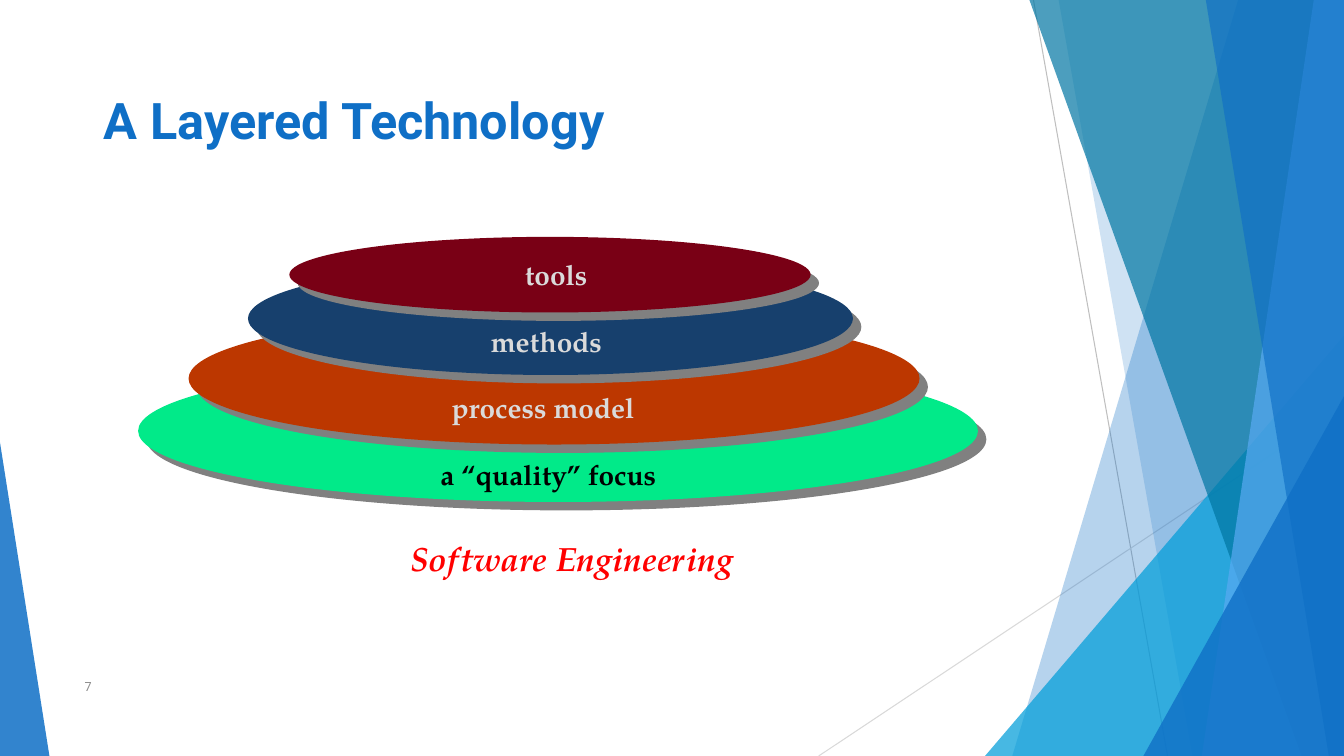
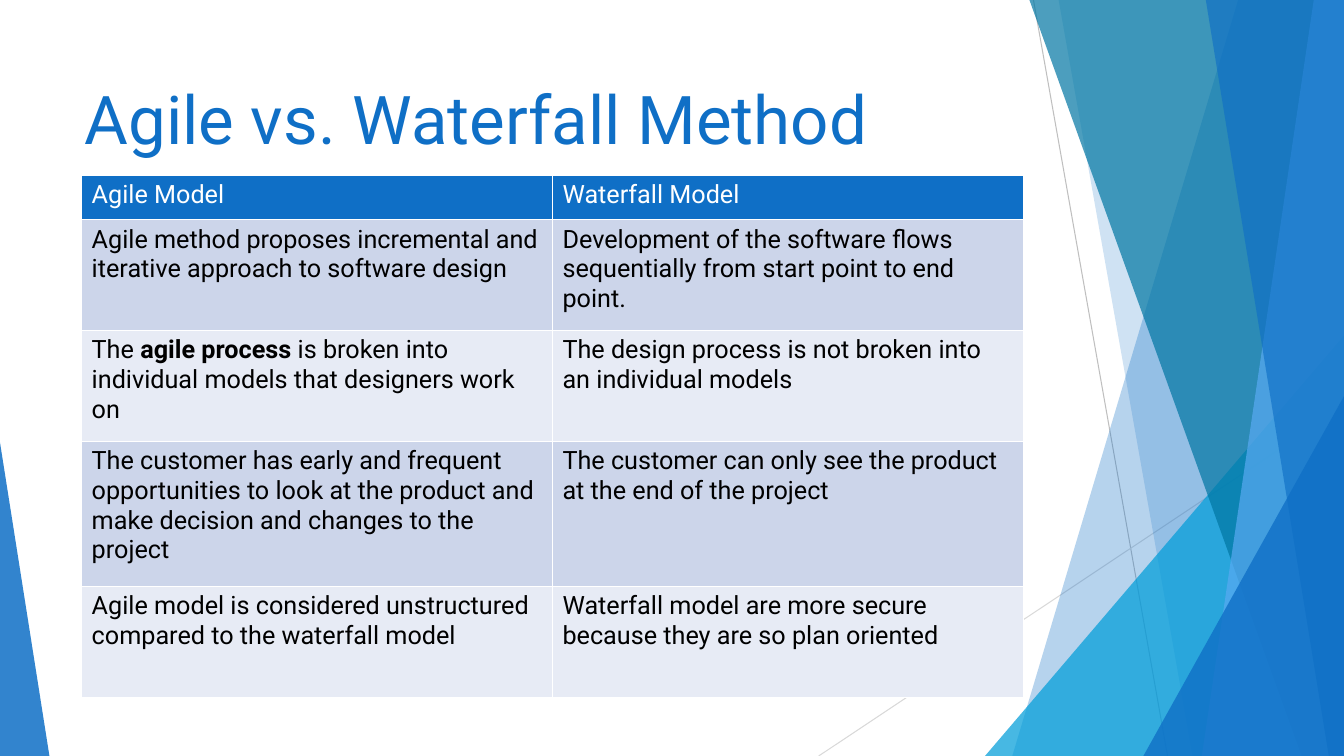
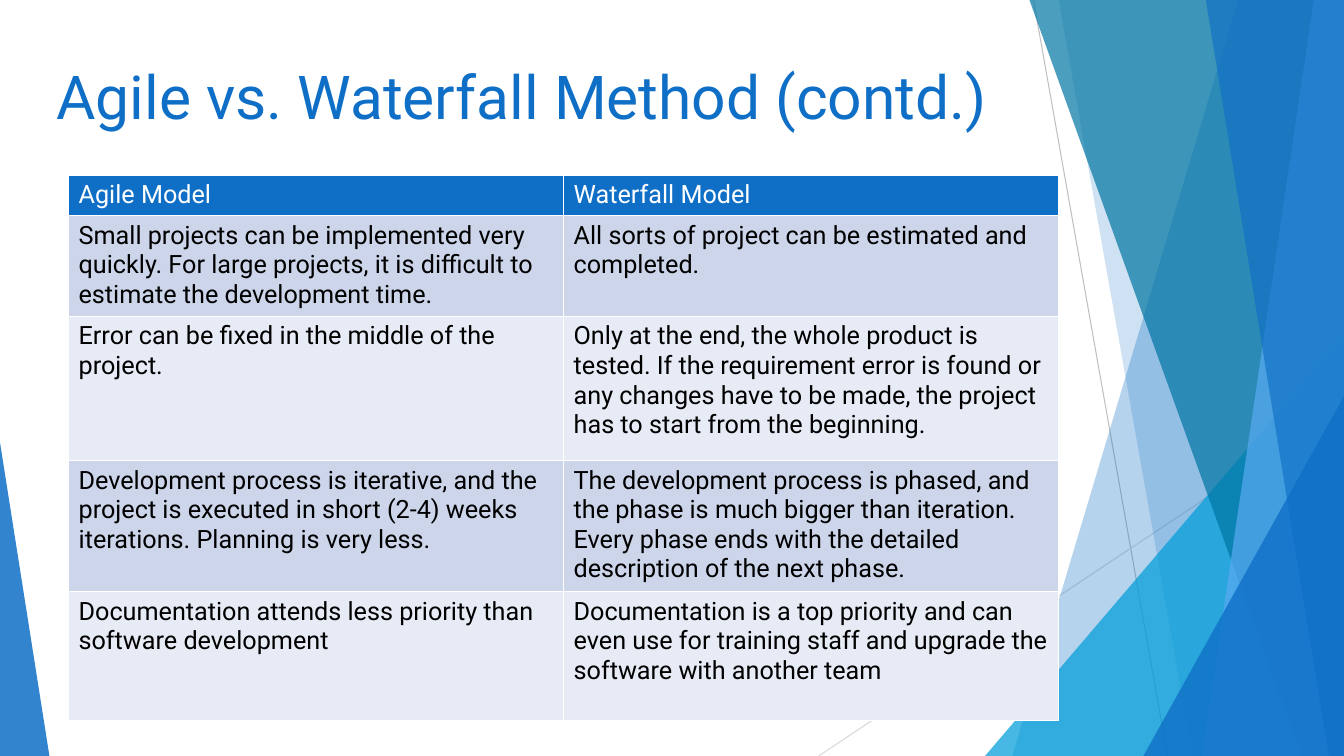
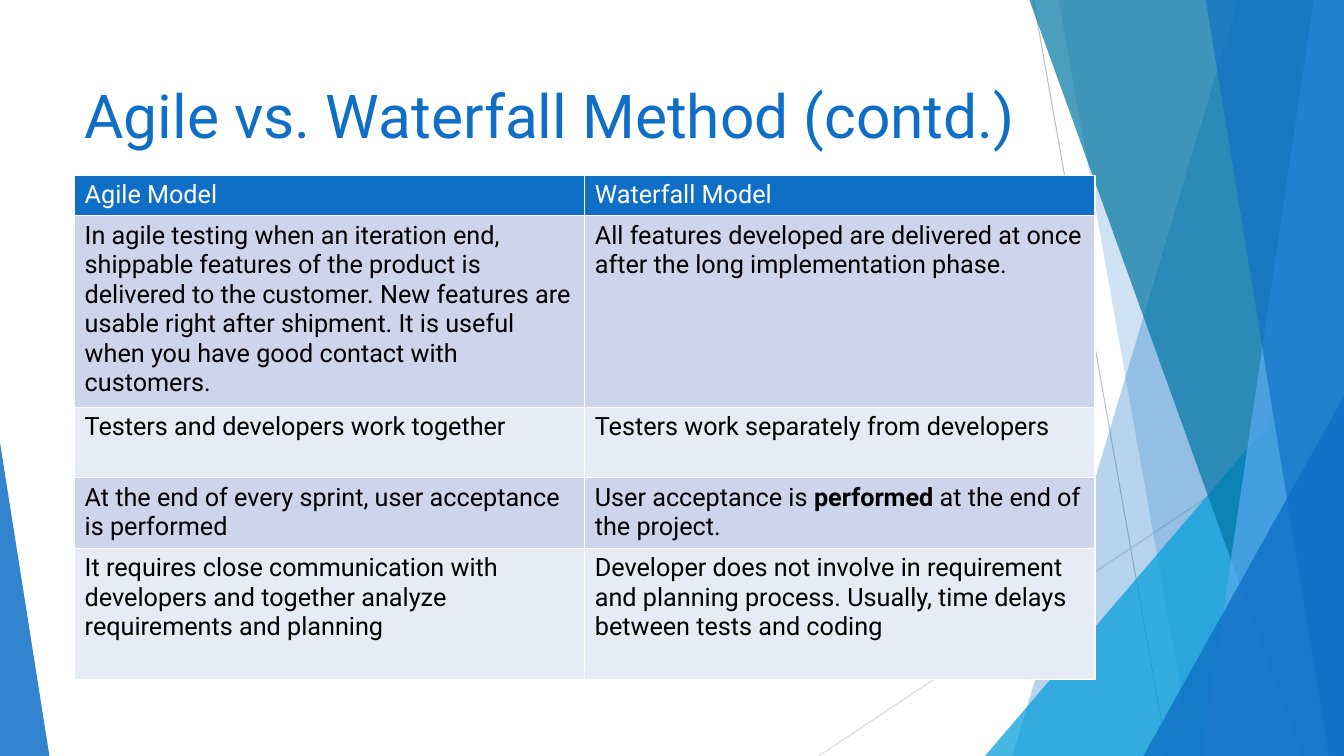
from lxml import etree
from pptx import Presentation
from pptx.dml.color import RGBColor
from pptx.enum.shapes import MSO_CONNECTOR, MSO_SHAPE
from pptx.enum.text import MSO_ANCHOR
from pptx.oxml.ns import qn
from pptx.util import Inches, Pt

STRAIGHT = MSO_CONNECTOR.STRAIGHT
TRIANGLE = MSO_SHAPE.ISOSCELES_TRIANGLE
OVAL = MSO_SHAPE.OVAL
TOP, MIDDLE = MSO_ANCHOR.TOP, MSO_ANCHOR.MIDDLE

BLUE = RGBColor(0x0F, 0x6F, 0xC6)
CYAN = RGBColor(0x00, 0x9D, 0xD9)
TEAL = RGBColor(0x00, 0x76, 0xA3)
SKY = RGBColor(0x59, 0xAA, 0xF2)
NAVY = RGBColor(0x17, 0x40, 0x6D)
MAROON = RGBColor(0x79, 0x00, 0x15)
RUST = RGBColor(0xBC, 0x37, 0x00)
GREEN = RGBColor(0x01, 0xEA, 0x89)
RED = RGBColor(0xFF, 0x00, 0x00)
BLACK = RGBColor(0x00, 0x00, 0x00)
WHITE = RGBColor(0xFF, 0xFF, 0xFF)
GREY = RGBColor(0x8C, 0x8C, 0x8C)
SHADOW_GREY = RGBColor(0x80, 0x80, 0x80)
LIGHT_GREY = RGBColor(0xDA, 0xDA, 0xDA)
LINE_DARK = RGBColor(0xBF, 0xBF, 0xBF)
LINE_LIGHT = RGBColor(0xD9, 0xD9, 0xD9)
ROW_ODD = RGBColor(0xCC, 0xD5, 0xEA)
ROW_EVEN = RGBColor(0xE7, 0xEB, 0xF5)

SANS, SERIF = "Roboto", "TeX Gyre Pagella"
WIDTH, HEIGHT = 13.33, 7.5
TABLE_TOP = 1.74
HEADER = ("Agile Model", "Waterfall Model")

COMPARISONS = [
    {
        "title": ("Agile vs. Waterfall Method", 0.74, 0.67, 9.4, 1.44, 48),
        "left": 0.81, "col": 4.67, "rows": (0.44, 1.1, 1.1, 1.44, 1.1),
        "cells": [
            ("Agile method proposes incremental and iterative approach to software design",
             "Development of the software flows sequentially from start point to end point."),
            ("The **agile process** is broken into individual models that designers work on",
             "The design process is not broken into an individual models"),
            ("The customer has early and frequent opportunities to look at the product "
             "and make decision and changes to the project",
             "The customer can only see the product at the end of the project"),
            ("Agile model is considered unstructured compared to the waterfall model",
             "Waterfall model are more secure because they are so plan oriented"),
        ],
    },
    {
        "title": ("Agile vs. Waterfall Method (contd.)", 0.46, 0.49, 10.26, 1.25, 43.2),
        "left": 0.68, "col": 4.91, "rows": (0.39, 0.99, 1.43, 1.27, 1.28),
        "cells": [
            ("Small projects can be implemented very quickly. For large projects, "
             "it is difficult to estimate the development time.",
             "All sorts of project can be estimated and completed."),
            ("Error can be fixed in the middle of the project.",
             "Only at the end, the whole product is tested. If the requirement error is found "
             "or any changes have to be made, the project has to start from the beginning."),
            ("Development process is iterative, and the project is executed in short (2-4) "
             "weeks iterations. Planning is very less.",
             "The development process is phased, and the phase is much bigger than iteration. "
             "Every phase ends with the detailed description of the next phase."),
            ("Documentation attends less priority than software development",
             "Documentation is a top priority and can even use for training staff and "
             "upgrade the software with another team"),
        ],
    },
    {
        "title": ("Agile vs. Waterfall Method (contd.)", 0.74, 0.67, 10.11, 1.44, 43.2),
        "left": 0.74, "col": 5.06, "rows": (0.38, 1.9, 0.7, 0.7, 1.3),
        "cells": [
            ("In agile testing when an iteration end, shippable features of the product is "
             "delivered to the customer. New features are usable right after shipment. "
             "It is useful when you have good contact with customers.",
             "All features developed are delivered at once after the long implementation phase."),
            ("Testers and developers work together",
             "Testers work separately from developers"),
            ("At the end of every sprint, user acceptance is performed",
             "User acceptance is **performed** at the end of the project."),
            ("It requires close communication with developers and together analyze "
             "requirements and planning",
             "Developer does not involve in requirement and planning process. "
             "Usually, time delays between tests and coding"),
        ],
    },
]


def add_run(p, text, size, color, font=SANS, bold=False, italic=False):
    r = p.add_run()
    r.text = text
    r.font.name = font
    r.font.size = Pt(size)
    r.font.color.rgb = color
    r.font.bold = bold
    r.font.italic = italic


def add_text(slide, text, x, y, w, h, size, color, inset=(0.1, 0.05),
             anchor=TOP, wrap=True, spacing=None, **style):
    tf = slide.shapes.add_textbox(Inches(x), Inches(y), Inches(w), Inches(h)).text_frame
    tf.word_wrap = wrap
    tf.vertical_anchor = anchor
    tf.margin_left = tf.margin_right = Inches(inset[0])
    tf.margin_top = tf.margin_bottom = Inches(inset[1])
    p = tf.paragraphs[0]
    p.line_spacing = spacing
    add_run(p, text, size, color, **style)


def add_title(slide, text, x, y, w, h, size, inset=(0.1, 0.1), bold=False):
    add_text(slide, text, x, y, w, h, size, BLUE, inset=inset, bold=bold)


def paint(sp, color, opacity=100):
    sp.shadow.inherit = False
    sp.fill.solid()
    sp.fill.fore_color.rgb = color
    sp.line.fill.background()
    if opacity < 100:
        clr = sp.element.spPr.find(qn("a:solidFill"))[0]
        etree.SubElement(clr, qn("a:alpha")).set("val", str(opacity * 1000))


def add_hairline(group, x1, y1, x2, y2, color):
    line = group.shapes.add_connector(STRAIGHT, Inches(x1), Inches(y1), Inches(x2), Inches(y2))
    line.line.color.rgb = color
    line.line.width = Pt(0.75)
    etree.SubElement(line.element.spPr, qn("a:effectLst"))


def add_band(group, top_x, bottom_x, color, opacity):
    corners = [(WIDTH, 0), (WIDTH, HEIGHT), (bottom_x, HEIGHT)]
    builder = group.shapes.build_freeform(Inches(top_x), 0)
    builder.add_line_segments([(Inches(x), Inches(y)) for x, y in corners], close=True)
    paint(builder.convert_to_shape(), color, opacity)


def add_triangle(group, x, y, w, peak, color, opacity):
    sp = group.shapes.add_shape(TRIANGLE, Inches(x), Inches(y), Inches(w), Inches(HEIGHT - y))
    sp.adjustments[0] = peak
    paint(sp, color, opacity)


def add_backdrop(slide):
    layout = slide.slide_layout
    for ph in list(layout.placeholders):
        layout.shapes.element.remove(ph.element)
    group = slide.shapes.add_group_shape()
    add_hairline(group, 10.25, 0, 11.58, HEIGHT, LINE_DARK)
    add_hairline(group, WIDTH, 4.03, 8.12, HEIGHT, LINE_LIGHT)
    add_band(group, 12.28, 10.04, BLUE, 30)
    add_band(group, 10.5, 11.83, BLUE, 20)
    add_triangle(group, 9.77, 3.33, 3.56, 1, CYAN, 72)
    add_band(group, 10.21, 12.91, TEAL, 70)
    add_band(group, 13.03, 11.92, SKY, 70)
    add_band(group, 11.96, 13.18, BLUE, 65)
    add_triangle(group, 11.34, 3.93, 1.99, 1, BLUE, 80)
    add_triangle(group, 0, 4.39, 0.49, 0, BLUE, 85)
    layout.shapes.element.append(group.element)


def add_disc(slide, x, y, w, h, color):
    sp = slide.shapes.add_shape(OVAL, Inches(x), Inches(y), Inches(w), Inches(h))
    paint(sp, color)
    effects = sp.element.spPr.find(qn("a:effectLst"))
    shadow = etree.SubElement(effects, qn("a:outerShdw"), dist=str(Pt(8.5)),
                              dir="2700000", algn="ctr", rotWithShape="0")
    etree.SubElement(shadow, qn("a:srgbClr"), val=str(SHADOW_GREY))


def add_borders(cell):
    tcPr = cell._tc.get_or_add_tcPr()
    for side in ("a:lnL", "a:lnR", "a:lnT", "a:lnB"):
        ln = etree.SubElement(tcPr, qn(side), w=str(Pt(1)))
        fill = etree.SubElement(ln, qn("a:solidFill"))
        etree.SubElement(fill, qn("a:srgbClr"), val=str(WHITE))


def fill_cell(cell, text, fill, color):
    add_borders(cell)
    cell.fill.solid()
    cell.fill.fore_color.rgb = fill
    p = cell.text_frame.paragraphs[0]
    for i, part in enumerate(text.split("**")):
        add_run(p, part, 18, color, bold=i % 2 == 1)


def add_comparison(slide, left, col, rows, cells):
    frame = slide.shapes.add_table(len(rows), len(HEADER), Inches(left), Inches(TABLE_TOP),
                                   Inches(col * len(HEADER)), Inches(sum(rows)))
    table = frame.table
    table.first_row = table.horz_banding = False
    for column in table.columns:
        column.width = Inches(col)
    for i, (height, texts) in enumerate(zip(rows, [HEADER] + cells)):
        table.rows[i].height = Inches(height)
        fill = BLUE if i == 0 else ROW_ODD if i % 2 else ROW_EVEN
        for j, text in enumerate(texts):
            fill_cell(table.cell(i, j), text, fill, BLACK if i else WHITE)


def add_layers(slide):
    add_text(slide, "7", 0.74, 6.61, 6.89, 0.4, 9, GREY, anchor=MIDDLE)
    add_title(slide, "A Layered Technology", 0.96, 0.85, 5.93, 0.66, 36,
              inset=(0.07, 0.03), bold=True)
    add_text(slide, "Software Engineering", 3.97, 5.33, 3.66, 0.46, 24, RED, wrap=False,
             spacing=0.9, font=SERIF, bold=True, italic=True)
    discs = [
        (1.37, 3.57, 8.33, 1.41, GREEN),
        (1.87, 3.1, 7.25, 1.31, RUST),
        (2.46, 2.6, 6, 1.12, NAVY),
        (2.87, 2.35, 5.17, 0.75, MAROON),
    ]
    labels = [
        ("a “quality” focus", 4.27, 2.44, BLACK),
        ("process model", 4.38, 2.18, LIGHT_GREY),
        ("methods", 4.77, 1.37, LIGHT_GREY),
        ("tools", 5.11, 0.87, LIGHT_GREY),
    ]
    for disc in discs:
        add_disc(slide, *disc)
    for i, (text, x, w, color) in enumerate(labels):
        add_text(slide, text, x, 4.49 - 0.66 * i, w, 0.43, 20, color, wrap=False,
                 font=SERIF, bold=True)


def main():
    prs = Presentation()
    prs.slide_width, prs.slide_height = Inches(WIDTH), Inches(HEIGHT)
    blank = prs.slide_layouts[6]
    slide = prs.slides.add_slide(blank)
    add_backdrop(slide)
    add_layers(slide)
    for item in COMPARISONS:
        slide = prs.slides.add_slide(blank)
        add_title(slide, *item["title"])
        add_comparison(slide, item["left"], item["col"], item["rows"], item["cells"])
    prs.save("out.pptx")


if __name__ == "__main__":
    main()
